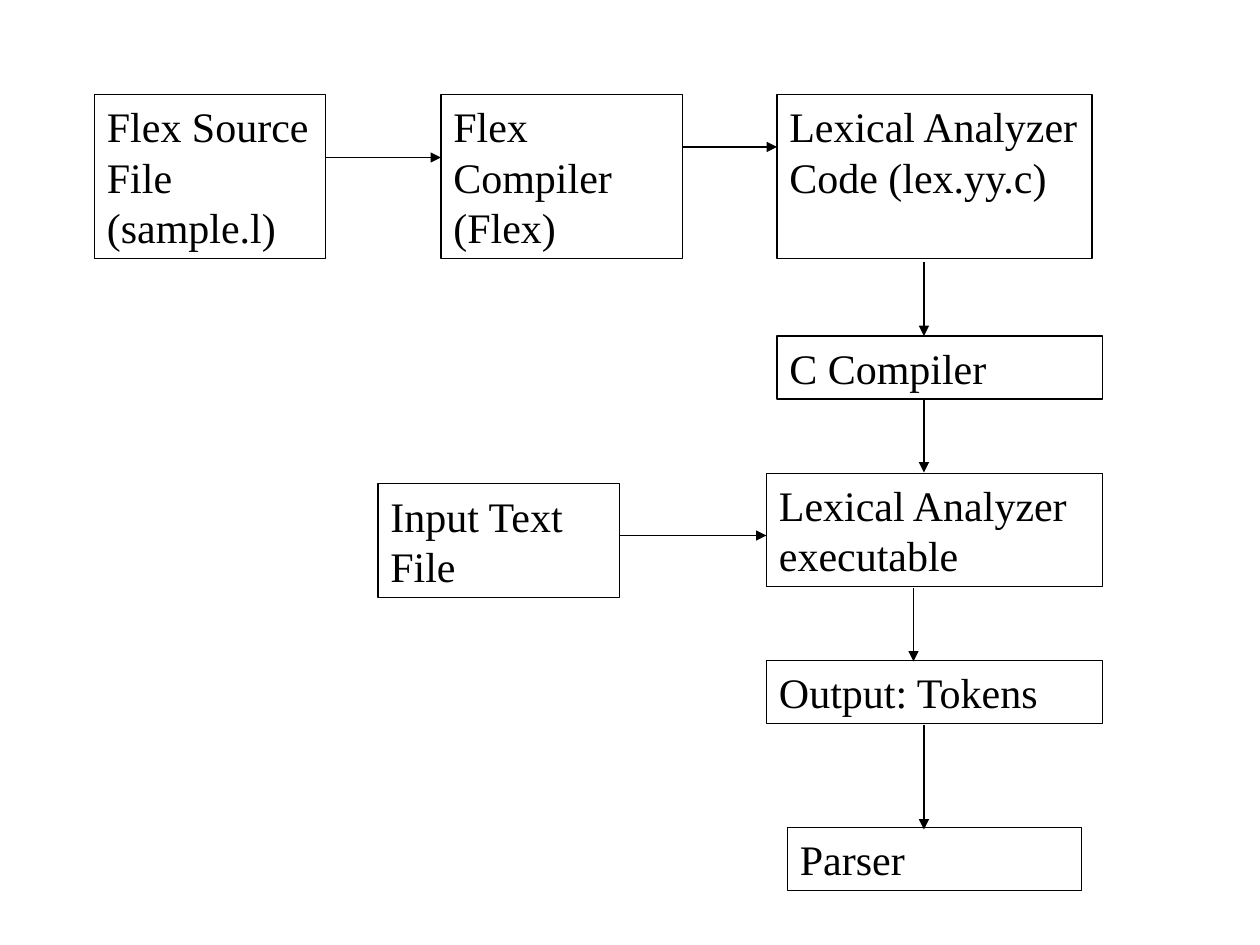
from pptx import Presentation
from pptx import util as u
from pptx.dml.color import RGBColor
from pptx.enum import shapes, text
from pptx.oxml.ns import qn
from lxml import etree

COLORS = {"ink": "000000"}
FONT = {"name": "Times New Roman", "size": u.Pt(24)}
FRAME = {
    "word_wrap": True,
    "auto_size": text.MSO_AUTO_SIZE.SHAPE_TO_FIT_TEXT,
    "vertical_anchor": text.MSO_ANCHOR.TOP,
    "margin_left": u.Pt(7.2),
    "margin_right": u.Pt(7.2),
    "margin_top": u.Pt(3.6),
    "margin_bottom": u.Pt(3.6),
}
ONE_LINE, TWO_LINES, THREE_LINES = 36, 64.8, 93.6

STAGES = [
    ("Flex Source File (sample.l)", 54, 54, 132, THREE_LINES),
    ("Flex Compiler (Flex)", 252, 54, 138, THREE_LINES),
    ("Lexical Analyzer Code (lex.yy.c)", 444, 54, 180, THREE_LINES),
    ("C Compiler", 444, 192, 186, ONE_LINE),
    ("Lexical Analyzer executable", 438, 270.5, 192, TWO_LINES),
    ("Input Text File", 216, 276.5, 138, TWO_LINES),
    ("Output: Tokens", 438, 377.5, 192, ONE_LINE),
    ("Parser", 450, 473, 168, ONE_LINE),
]
FLOWS = [
    (186, 90, 252, 90),
    (390, 84, 444, 84),
    (528, 150, 528, 192),
    (528, 228, 528, 270),
    (522, 336, 522, 378),
    (354, 306, 438, 306),
    (528, 414, 528, 474),
]


def apply(target, values):
    for name, value in values.items():
        setattr(target, name, value)


class Diagram:
    def __init__(self, slide):
        self.slide = slide
        self.ink = RGBColor.from_string(COLORS["ink"])

    def outline(self, line):
        line.color.rgb = self.ink
        line.width = u.Pt(0.75)

    def box(self, label, *place):
        stage = self.slide.shapes.add_shape(
            shapes.MSO_SHAPE.RECTANGLE, *map(u.Pt, place))
        stage.shadow.inherit = False
        stage.fill.background()
        self.outline(stage.line)
        apply(stage.text_frame, FRAME)
        paragraph = stage.text_frame.paragraphs[0]
        paragraph.alignment = text.PP_ALIGN.LEFT
        run = paragraph.add_run()
        run.text = label
        apply(run.font, FONT)
        run.font.color.rgb = self.ink

    def arrow(self, *ends):
        flow = self.slide.shapes.add_connector(
            shapes.MSO_CONNECTOR.STRAIGHT, *map(u.Pt, ends))
        self.outline(flow.line)
        properties = flow.line._get_or_add_ln()
        etree.SubElement(properties, qn("a:tailEnd"), type="triangle")
        etree.SubElement(properties.getparent(), qn("a:effectLst"))


def main():
    deck = Presentation()
    deck.slide_width, deck.slide_height = u.Pt(720), u.Pt(540)
    diagram = Diagram(deck.slides.add_slide(deck.slide_layouts[6]))
    for stage in STAGES:
        diagram.box(*stage)
    for flow in FLOWS:
        diagram.arrow(*flow)
    deck.save("out.pptx")


if __name__ == "__main__":
    main()
